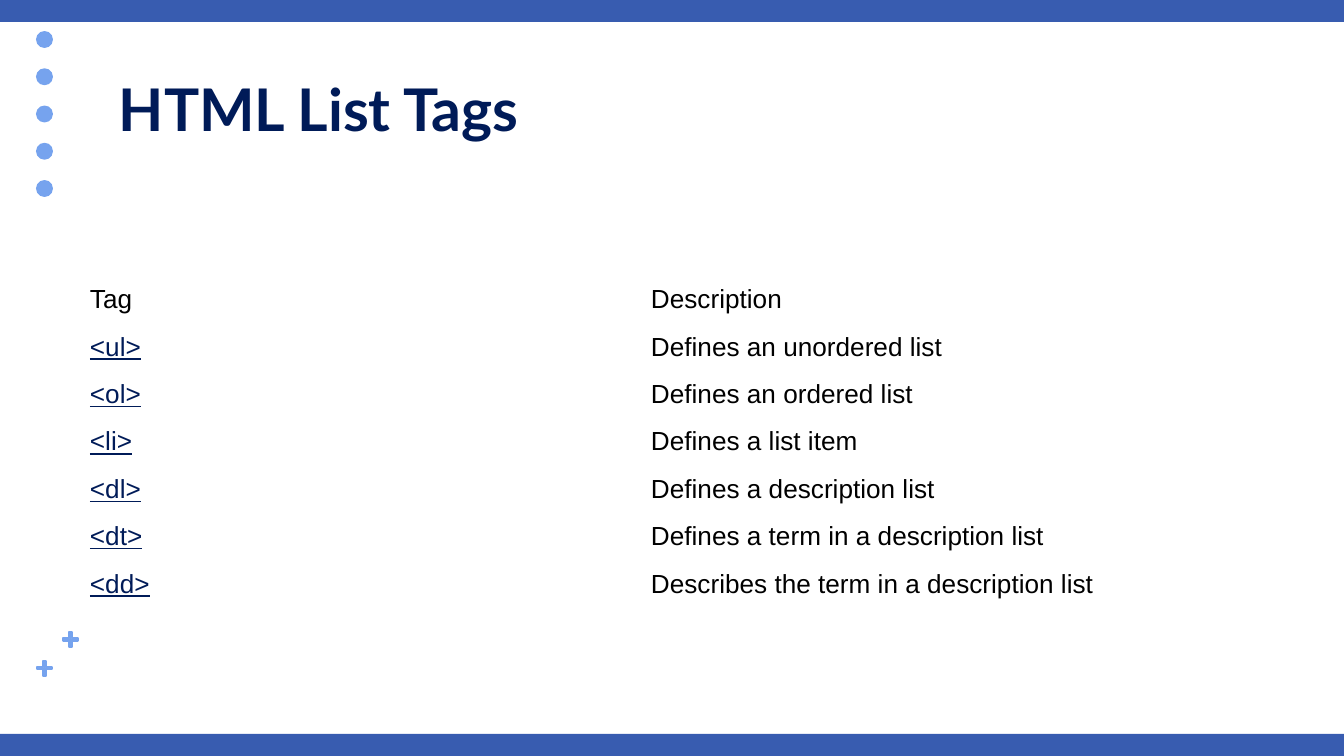
from pptx import Presentation
from pptx.dml.color import RGBColor
from pptx.enum.shapes import MSO_SHAPE as Shape
from pptx.enum.text import MSO_ANCHOR as Anchor
from pptx.util import Pt

# Content
TITLE = "HTML List Tags"
ROWS = [
    ("Tag", "Description"),
    ("<ul>", "Defines an unordered list"),
    ("<ol>", "Defines an ordered list"),
    ("<li>", "Defines a list item"),
    ("<dl>", "Defines a description list"),
    ("<dt>", "Defines a term in a description list"),
    ("<dd>", "Describes the term in a description list"),
]

# Theme
THEME = {
    "bar": RGBColor.from_string("385CB0"),
    "accent": RGBColor.from_string("76A3EE"),
    "title": dict(name="Lato", size=Pt(31.5), bold=True, color="001B58"),
    "text": dict(name="Arial", size=Pt(14), bold=False, color="000000"),
    "tag": dict(name="Arial", size=Pt(14), bold=False, underline=True, color="001B58"),
}
NO_STYLE_NO_GRID = "{2D5ABB26-0587-4C30-8999-92F81FD0307C}"

# Layout in px
WIDTH, HEIGHT = 1344, 756
BAR_H, BLEED = 22, 15
DOT_X, DOT_Y, DOT, DOT_COUNT, DOT_SPAN = 36, 31, 17, 5, 149
PLUSES, PLUS = [(63, 632), (37, 661)], 15
TITLE_BOX = (106, 66, 1133, 84)
TABLE_X, TABLE_Y, COL_W, ROW_H = 67, 277, 573, 46


def px(n):
    return round(n * 914400 / 134.4)


def write(tf, text, style):
    r = tf.paragraphs[0].add_run()
    r.text = text
    for key, value in style.items():
        if key == "color":
            r.font.color.rgb = RGBColor.from_string(value)
        else:
            setattr(r.font, key, value)


def set_margins(target, left, top, right, bottom):
    sides = dict(left=left, top=top, right=right, bottom=bottom)
    for side, value in sides.items():
        setattr(target, f"margin_{side}", px(value))


def add_shape(s, kind, box, color):
    sp = s.shapes.add_shape(kind, *map(px, box))
    sp.shadow.inherit = False
    sp.fill.solid()
    sp.fill.fore_color.rgb = color
    sp.line.fill.background()
    return sp


prs = Presentation()
prs.slide_width, prs.slide_height = px(WIDTH), px(HEIGHT)
s = prs.slides.add_slide(prs.slide_layouts[6])

# Bars at the bottom and top edges
for y in (HEIGHT - BAR_H, 0):
    add_shape(s, Shape.RECTANGLE, (-BLEED, y, WIDTH + 2 * BLEED, BAR_H), THEME["bar"])

# Plus signs, rounded by a thin outline
for x, y in PLUSES:
    sp = add_shape(s, Shape.CROSS, (x, y, PLUS, PLUS), THEME["accent"])
    sp.adjustments[0] = 0.43
    sp.line.color.rgb = THEME["accent"]
    sp.line.width = px(2)

# Column of dots
for i in range(DOT_COUNT):
    y = DOT_Y + i * DOT_SPAN / (DOT_COUNT - 1)
    add_shape(s, Shape.OVAL, (DOT_X, y, DOT, DOT), THEME["accent"])

# Title
tf = s.shapes.add_textbox(*map(px, TITLE_BOX)).text_frame
tf.word_wrap = True
tf.vertical_anchor = Anchor.MIDDLE
set_margins(tf, 13, 7, 13, 7)
write(tf, TITLE, THEME["title"])

# Table of tags
frame = s.shapes.add_table(len(ROWS), 2, px(TABLE_X), px(TABLE_Y),
                           px(2 * COL_W), px(len(ROWS) * ROW_H))
table = frame.table
table.first_row = table.horz_banding = False
table._tbl.tblPr[0].text = NO_STYLE_NO_GRID
for i, row in enumerate(ROWS):
    for j, text in enumerate(row):
        cell = table.cell(i, j)
        cell.fill.background()
        set_margins(cell, 11 if j else 23, 8, 11, 8)
        write(cell.text_frame, text, THEME["tag" if i and not j else "text"])

prs.save("out.pptx")
